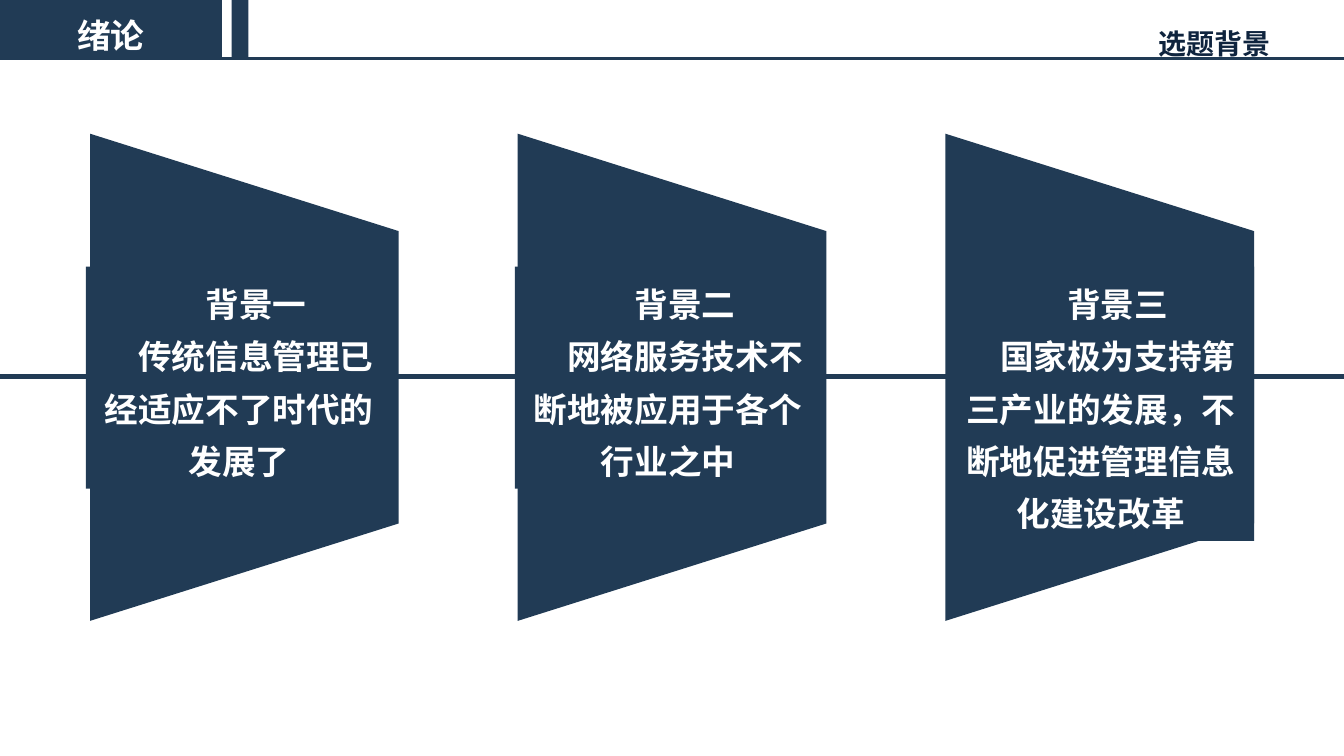
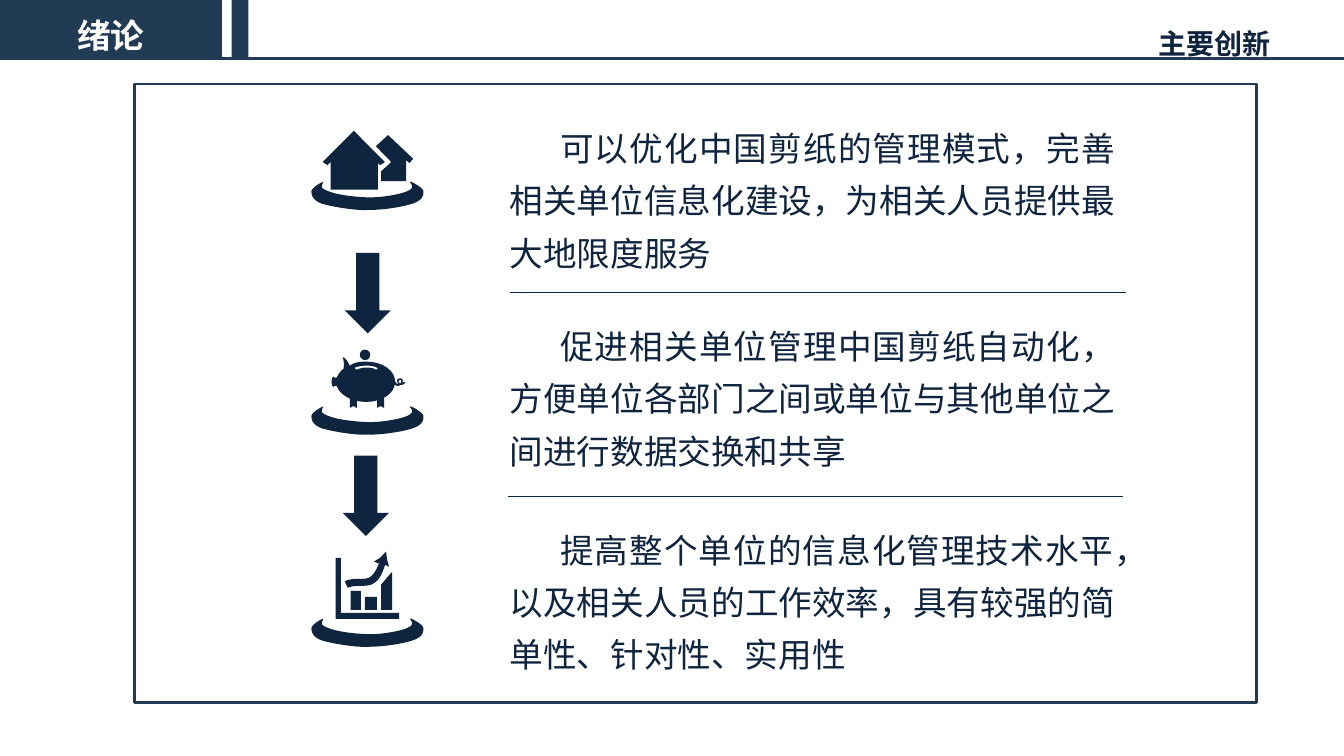
from pptx import Presentation
from pptx.dml.color import RGBColor
from pptx.enum.shapes import MSO_CONNECTOR, MSO_SHAPE
from pptx.enum.text import MSO_ANCHOR, PP_ALIGN
from pptx.oxml.ns import qn
from pptx.util import Pt
from lxml.etree import SubElement

COLORS = {"band": "213B55", "ink": "0F243E", "white": "FFFFFF"}
FONT = "Arial"
PAGE_WIDTH, PAGE_HEIGHT = 960, 540
HEADER_HEIGHT = 42
SECTION = "绪论"

# Outlines in points from the left top corner of the saucer.
# A pair is a straight step, six numbers are a cubic curve.
SAUCER = [[
    (70.5, 0.3), (72, 0.3, 79.5, 4.5, 80, 7), (80, 9.5, 80, 13, 73.5, 15.5),
    (67, 18, 52, 20.5, 41, 20.5), (30, 21, 14.5, 18, 7.5, 16),
    (0.5, 13.5, 0, 9.5, 0, 7), (0.5, 4.5, 6.5, 1, 8, 0.5),
    (9.5, 0, 6, 3.5, 8, 5), (10, 6.5, 15, 8.5, 21, 9.5),
    (26, 10.5, 35.5, 11.5, 42, 11.5), (48, 11.5, 55, 10.5, 60, 9.5),
    (65, 8.5, 70, 7, 71.5, 5), (73.5, 3.5, 69, -0.5, 70.5, 0.3),
]]
HOUSES = [
    [(46, -25), (54.7, -33), (72.7, -16), (70, -13), (67.7, -15), (67.7, 0),
     (49.7, 0), (49.7, -7), (57, -13.7)],
    [(8, -13.7), (11.5, -11.5), (13.7, -13.7), (13.7, 6), (47.5, 6),
     (47.5, -13), (49, -11.5), (52.5, -13.7), (30.3, -36)],
]
PIG_BODY = [
    [(38.9, -31.7), (34.6, -31.7, 30.2, -31, 27.4, -28.8),
     (25.9, -31.7, 23.8, -35.3, 22.3, -34.6), (23.8, -31, 23, -27.4, 23, -26.6),
     (20.9, -25.2, 19.4, -23, 18, -20.2), (16.6, -20.2), (15.8, -20.9),
     (15.1, -20.9, 14.4, -19.4, 14.4, -17.3),
     (14.4, -15.1, 15.1, -13.7, 15.8, -13.7), (16.6, -14.4), (18, -14.4),
     (20.2, -7.9, 28.8, -2.9, 38.9, -2.9), (51.1, -2.9, 59.8, -9.4, 59.8, -17.3),
     (59.8, -25.2, 51.1, -31.7, 38.9, -31.7)],
    [(47.5, -26.6), (46, -25.9), (43.9, -27.4, 41, -27.4, 38.9, -27.4),
     (35.3, -27.4, 32.4, -25.9, 32.4, -25.9), (31, -26.6), (31, -27.4),
     (31, -27.4, 34.6, -28.8, 38.9, -28.8),
     (41.8, -28.8, 43.9, -28.8, 46.8, -27.4)],
]
PIG_LEGS = [
    [(left, -10.8), (left + 5, -10.8), (left + 5, 1.4), (left + 2.5, 0), (left, 1.4)]
    for left in (27.4, 46.8)
]
PIG_TAIL = [
    [(58.7, -16.6), (59, -18, 60, -17.5, 60.5, -16.5),
     (61, -15.8, 61.5, -15.5, 62, -15.8), (60.5, -18, 61, -19.7, 63.5, -19.7),
     (65.5, -19.7, 65.5, -17.5, 64.8, -16.5), (66.5, -17.3), (67, -16.8),
     (65.5, -15, 64.5, -15, 63.5, -15), (62, -14, 60, -14, 58.7, -16.6)],
    [(63.4, -18.7), (61.5, -18.5, 62, -16.5, 63.3, -16),
     (64.5, -17, 64.5, -18.5, 63.4, -18.7)],
]
GROWTH_CHART = [
    [(17.3, -43), (21, -43), (21, -3.6), (62.6, -3.6), (62.6, 0.7), (17.3, 0.7)],
    [(23.8, -26), (26, -21.6), (29.5, -23, 32, -23, 35.3, -23),
     (41.8, -23, 48.2, -23, 52.6, -38), (55.4, -36.7), (54, -41.8),
     (53.3, -47.5), (49, -43), (44.6, -40.3), (48.2, -38.9),
     (43.9, -28, 40.3, -28, 35.3, -28), (31.7, -28, 28, -28, 24.5, -26.6)],
    [(49.7, -5.8), (57.6, -5.8), (57.6, -33), (49.7, -23.8)],
    [(38.2, -5.8), (46.8, -5.8), (46.8, -15.1), (38.2, -15.1)],
    [(28, -5.8), (35.3, -5.8), (35.3, -19.4), (28, -19.4)],
]

# Heading, text, shift of the text box, height of the text box
BACKGROUNDS = [
    ("背景一", "传统信息管理已经适应不了时代的发展了", -3, 158.5),
    ("背景二", "网络服务技术不断地被应用于各个行业之中", -2, 158.5),
    ("背景三", "国家极为支持第三产业的发展，不断地促进管理信息化建设改革", 1.5, 196),
]
# Text, top of the text, top of the saucer, outlines of the icon
INNOVATIONS = [
    ("可以优化中国剪纸的管理模式，完善相关单位信息化建设，为相关人员提供最大地限度服务",
     19, 69.5, [HOUSES]),
    ("促进相关单位管理中国剪纸自动化，方便单位各部门之间或单位与其他单位之间进行数据交换和共享",
     160.5, 230, [PIG_BODY, PIG_LEGS, PIG_TAIL]),
    ("提高整个单位的信息化管理技术水平，以及相关人员的工作效率，具有较强的简单性、针对性、实用性",
     306, 381.5, [GROWTH_CHART]),
]
# Left and top of the arrow, left and top of the divider
STEPS = [(150.2, 120.7, 268.5, 149), (148.8, 265.4, 267, 294.5)]


def rgb(name):
    return RGBColor.from_string(COLORS[name])


def style(shape, fill=None, line=None, weight=2):
    shape.shadow.inherit = False
    if fill:
        shape.fill.solid()
        shape.fill.fore_color.rgb = rgb(fill)
    else:
        shape.fill.background()
    if line:
        shape.line.color.rgb = rgb(line)
        shape.line.width = Pt(weight)
    else:
        shape.line.fill.background()
    return shape


def add_box(page, box, fill=None, line=None, kind=MSO_SHAPE.RECTANGLE):
    return style(page.shapes.add_shape(kind, *map(Pt, box)), fill, line)


def add_line(page, left, right, top, color, weight):
    line = page.shapes.add_connector(
        MSO_CONNECTOR.STRAIGHT, Pt(left), Pt(top), Pt(right), Pt(top))
    line.line.color.rgb = rgb(color)
    line.line.width = Pt(weight)
    SubElement(line._element.spPr, qn("a:effectLst"))


def write(shape, *texts, size=24, color="ink", bold=False, align=PP_ALIGN.LEFT,
          anchor=MSO_ANCHOR.TOP, indent=0):
    frame = shape.text_frame
    frame.word_wrap = True
    frame.vertical_anchor = anchor
    for index, text in enumerate(texts):
        para = frame.add_paragraph() if index else frame.paragraphs[0]
        para.alignment = align
        para.line_spacing = 1.3
        if indent:
            para._p.get_or_add_pPr().set("indent", str(Pt(indent)))
        span = para.add_run()
        span.text = text
        span.font.name = FONT
        span.font.size = Pt(size)
        span.font.bold = bold
        span.font.color.rgb = rgb(color)


def trace(outline, left, top, steps=8):
    """Turn an outline into a list of corner points on the page."""
    points = [outline[0]]
    for step in outline[1:]:
        if len(step) == 2:
            points.append(step)
            continue
        controls = [points[-1], step[:2], step[2:4], step[4:]]
        for count in range(1, steps + 1):
            t = count / steps
            weights = ((1 - t) ** 3, 3 * t * (1 - t) ** 2, 3 * t * t * (1 - t), t ** 3)
            points.append(tuple(
                sum(w * control[axis] for w, control in zip(weights, controls))
                for axis in (0, 1)))
    return [(Pt(left + x), Pt(top + y)) for x, y in points]


def add_outline(page, outlines, left, top, color):
    first, *others = [trace(outline, left, top) for outline in outlines]
    builder = page.shapes.build_freeform(*first[0])
    builder.add_line_segments(first[1:], close=True)
    for points in others:
        builder.move_to(*points[0])
        builder.add_line_segments(points[1:], close=True)
    return style(builder.convert_to_shape(), color)


def add_header(page, topic):
    title = add_box(page, (533.5, 8.5, 381.5, 36), "white")
    write(title, topic, size=20, bold=True, align=PP_ALIGN.RIGHT)
    section = add_box(page, (0, 0, 158.5, HEADER_HEIGHT), "band")
    write(section, SECTION, color="white", bold=True, align=PP_ALIGN.CENTER,
          anchor=MSO_ANCHOR.MIDDLE)
    add_box(page, (165.5, 0, 12, HEADER_HEIGHT), "band")
    add_line(page, 0, PAGE_WIDTH, HEADER_HEIGHT, "band", 2)


def add_background_card(page, box, heading, text, shift, text_height):
    left, top, width, height = box
    slope = height / 5
    panel = [(0, height), (0, 0), (width, slope), (width, height - slope)]
    add_outline(page, [panel], left, top, "band")
    label = add_box(page, (left + shift, top + 95, 219, text_height), "band")
    write(label, heading, text, color="white", bold=True, align=PP_ALIGN.CENTER,
          indent=24)


def add_icon(page, left, top, drawings):
    for outlines in [SAUCER, *drawings]:
        add_outline(page, outlines, left, top, "ink")
    if PIG_BODY in drawings:
        # Coin above the pig
        add_box(page, (left + 34.5, top - 40.3, 7.5, 7.5), "ink", kind=MSO_SHAPE.OVAL)


def add_innovations(page, box):
    left, top, width, height = box
    add_box(page, box, line="band")
    for text, text_top, icon_top, drawings in INNOVATIONS:
        add_icon(page, left + 126.5, top + icon_top, drawings)
        area = (left + 261, top + text_top, 446.5, 120)
        note = page.shapes.add_textbox(*map(Pt, area))
        write(note, text, align=PP_ALIGN.JUSTIFY, indent=36)
    for arrow_left, arrow_top, line_left, line_top in STEPS:
        add_box(page, (left + arrow_left, top + arrow_top, 33, 57.5), "ink",
                kind=MSO_SHAPE.DOWN_ARROW)
        add_line(page, left + line_left, left + line_left + 439.5, top + line_top,
                 "ink", 0.5)


def new_page(deck, topic):
    page = deck.slides.add_slide(deck.slide_layouts[6])
    add_header(page, topic)
    return page


def main():
    deck = Presentation()
    deck.slide_width, deck.slide_height = Pt(PAGE_WIDTH), Pt(PAGE_HEIGHT)

    # Three cards on one line
    page = new_page(deck, "选题背景")
    add_line(page, 0, PAGE_WIDTH, 269, "band", 3)
    for index, card in enumerate(BACKGROUNDS):
        add_background_card(page, (64.3 + 305.5 * index, 95.5, 220.5, 348), *card)

    # Three steps in a frame
    page = new_page(deck, "主要创新")
    add_innovations(page, (96, 60, 801.5, 442))

    deck.save("out.pptx")


if __name__ == "__main__":
    main()
